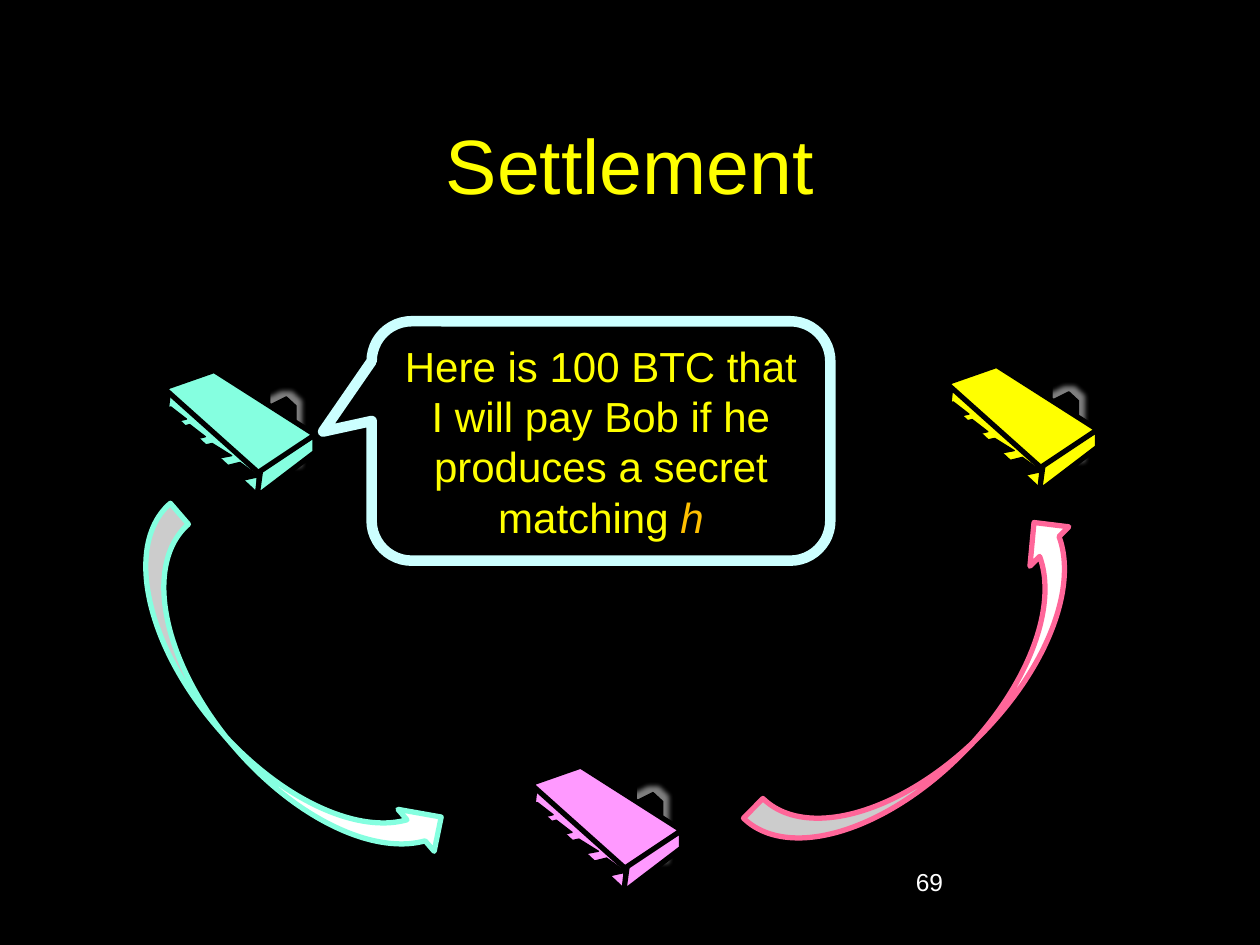
from lxml import etree
from pptx import Presentation
from pptx.dml.color import RGBColor
from pptx.enum.shapes import MSO_SHAPE as SHAPE
from pptx.enum.text import MSO_ANCHOR as ANCHOR, PP_ALIGN as ALIGN
from pptx.oxml.ns import qn
from pptx.util import Inches, Pt

BLACK, WHITE, YELLOW = "000000", "FFFFFF", "FFFF00"
MINT, PINK, ROSE = "85FFE0", "FF99FF", "FF6699"
SKY, ORANGE, GREY = "CCFFFF", "FFC000", "808080"

BACK_PIN = [(0, 0.14), (0.65, 0), (1, 0.14), (1, 1), (0.65, 0.86), (0.65, 0.29), (0, 0.43)]
FRONT_PIN = [(0.57, 0), (1, 0.22), (0.29, 0.33), (0.29, 1), (0, 0.77), (0, 0.1)]
BACK_PINS = [(1.19, 0.37, 0.22, 0.51), (0.94, 0.21, 0.22, 0.51),
             (0.73, 0.07, 0.22, 0.51), (0.51, 0, 0.22, 0.44)]
FRONT_PINS = [(0.51, 0.73, 0.36, 0.51), (0.29, 0.58, 0.36, 0.44),
              (0.15, 0.43, 0.29, 0.44), (0, 0.29, 0.29, 0.44)]
CHIP_SIDE = [(0.15, 0.14), (0.87, 0.8), (0.86, 1), (0.13, 0.32)]
CHIP_END = [(1.31, 0.51), (1.31, 0.65), (0.85, 1), (0.88, 0.78)]
CHIP_TOP = [(0.51, 0), (1.31, 0.51), (0.86, 0.81), (0.11, 0.14)]
GLOWING_PIN = 1


def rgb(value):
    return RGBColor.from_string(value)


class Deck:
    font = "Arial"

    def __init__(self, prs):
        self.s = prs.slides.add_slide(prs.slide_layouts[6])
        fill = self.s.background.fill
        fill.solid()
        fill.fore_color.rgb = rgb(BLACK)

    def style(self, sp, fill, line, width):
        sp.shadow.inherit = False
        sp.fill.solid()
        sp.fill.fore_color.rgb = rgb(fill)
        sp.line.color.rgb = rgb(line)
        sp.line.width = Pt(width)

    def add_runs(self, sp, runs, size, align=ALIGN.CENTER, anchor=ANCHOR.MIDDLE):
        tf = sp.text_frame
        tf.word_wrap = True
        tf.vertical_anchor = anchor
        p = tf.paragraphs[0]
        p.alignment = align
        for text, color, italic in runs:
            r = p.add_run()
            r.text = text
            r.font.name = self.font
            r.font.size = Pt(size)
            r.font.italic = italic
            r.font.color.rgb = rgb(color)

    def text(self, box, text, color, size, **layout):
        sp = self.s.shapes.add_textbox(*map(Inches, box))
        self.add_runs(sp, [(text, color, False)], size, **layout)

    def callout(self, box, adjustments, runs, size):
        sp = self.s.shapes.add_shape(SHAPE.ROUNDED_RECTANGULAR_CALLOUT, *map(Inches, box))
        for i, value in enumerate(adjustments):
            sp.adjustments[i] = value
        self.style(sp, BLACK, SKY, 6)
        self.add_runs(sp, runs, size)

    def curved_arrow(self, left, top, rotation, color):
        sp = self.s.shapes.add_shape(
            SHAPE.CURVED_DOWN_ARROW, Inches(left), Inches(top), Inches(3.51), Inches(0.88))
        sp.rotation = rotation
        sp.element.spPr.find(qn("a:xfrm")).set("flipH", "1")
        self.style(sp, WHITE, color, 3)

    def polygon(self, shapes, points, left, top, fill, width):
        (x, y), *rest = [(Inches(left + dx), Inches(top + dy)) for dx, dy in points]
        builder = shapes.build_freeform(x, y)
        builder.add_line_segments(rest, close=True)
        sp = builder.convert_to_shape()
        self.style(sp, fill, BLACK, width)
        return sp

    def glow(self, sp, color):
        effects = sp.element.spPr.find(qn("a:effectLst"))
        glow = etree.SubElement(effects, qn("a:glow"), rad=str(Inches(0.08)))
        etree.SubElement(glow, qn("a:srgbClr"), val=color)

    def pins(self, shapes, outline, places, left, top):
        return [self.polygon(shapes, [(x + u * w, y + v * h) for u, v in outline],
                             left, top, BLACK, 0.75)
                for x, y, w, h in places]

    def chip(self, left, top, color):
        shapes = self.s.shapes.add_group_shape().shapes
        back = self.pins(shapes, BACK_PIN, BACK_PINS, left, top)
        self.glow(back[GLOWING_PIN], GREY)
        for face in (CHIP_SIDE, CHIP_END):
            self.polygon(shapes, face, left, top, color, 3)
        self.pins(shapes, FRONT_PIN, FRONT_PINS, left, top)
        self.polygon(shapes, CHIP_TOP, left, top, color, 3)


def main():
    prs = Presentation()
    prs.slide_width, prs.slide_height = Inches(10), Inches(7.5)
    deck = Deck(prs)
    deck.chip(1.19, 2.94, MINT)
    deck.text((0.75, 0.67, 8.5, 1.25), "Settlement", YELLOW, 44)
    deck.text((7.17, 6.83, 2.08, 0.5), "69", WHITE, 14, align=ALIGN.LEFT, anchor=ANCHOR.TOP)
    deck.curved_arrow(0.41, 5.17, 229.2, MINT)
    deck.curved_arrow(5.69, 5.11, 134.5, ROSE)
    message = "Here is 100 BTC that I will pay Bob if he produces a secret matching "
    deck.callout((2.95, 2.55, 3.64, 1.9), (-0.606, -0.039, 0.167),
                 [(message, YELLOW, False), ("h", ORANGE, True)], 24)
    deck.chip(7.4, 2.9, YELLOW)
    deck.chip(4.1, 6.08, PINK)
    prs.save("out.pptx")


if __name__ == "__main__":
    main()
